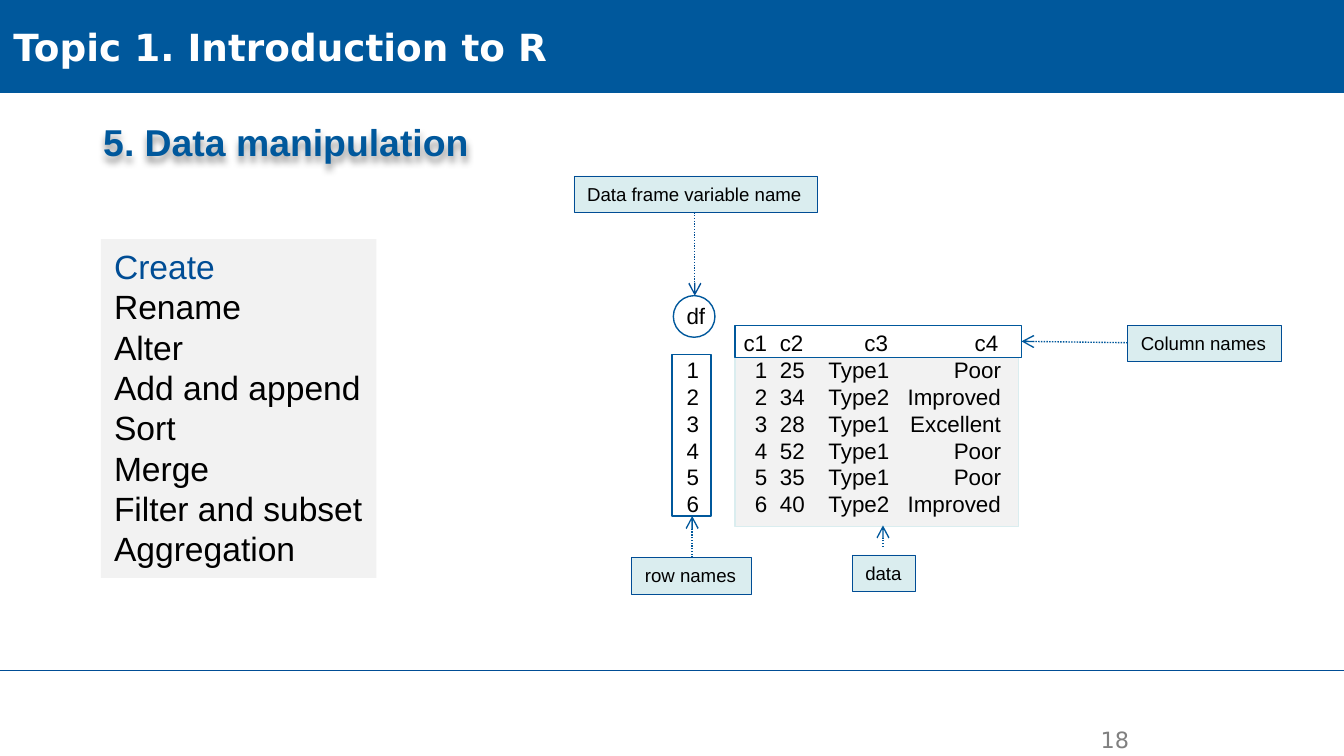
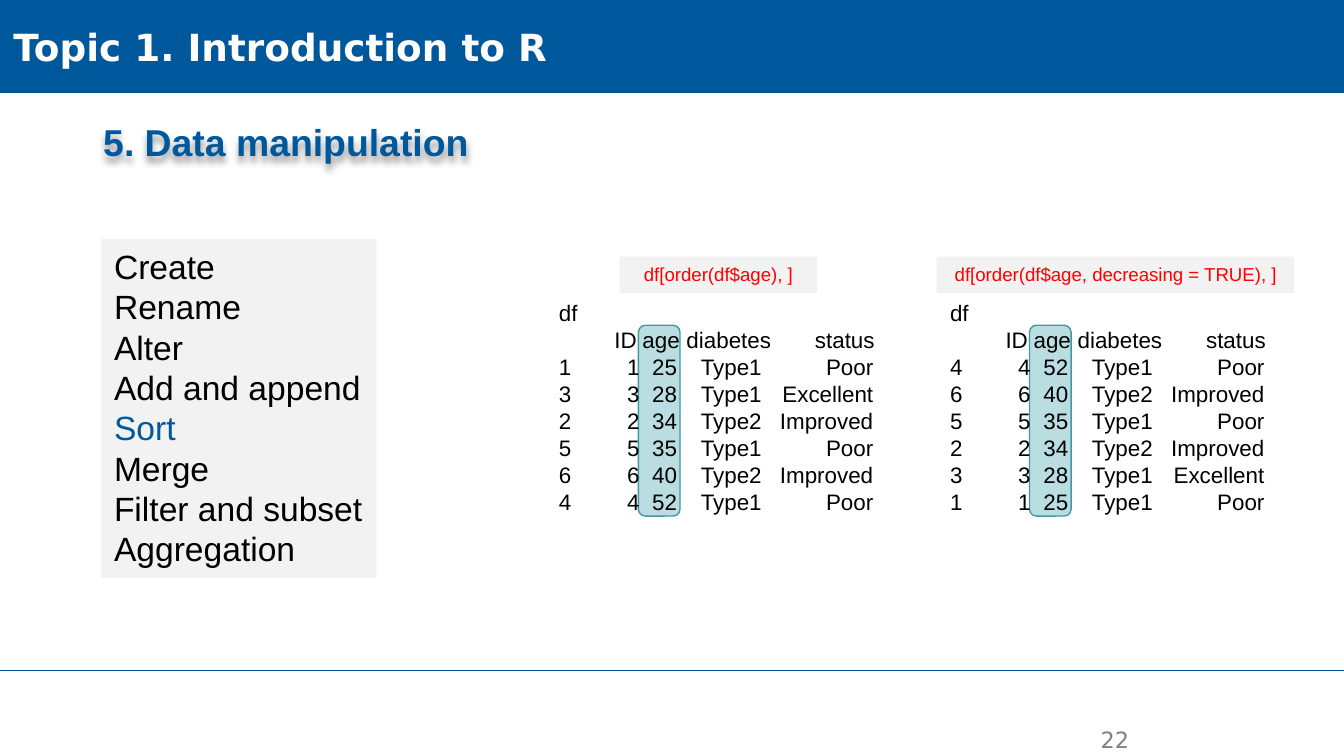
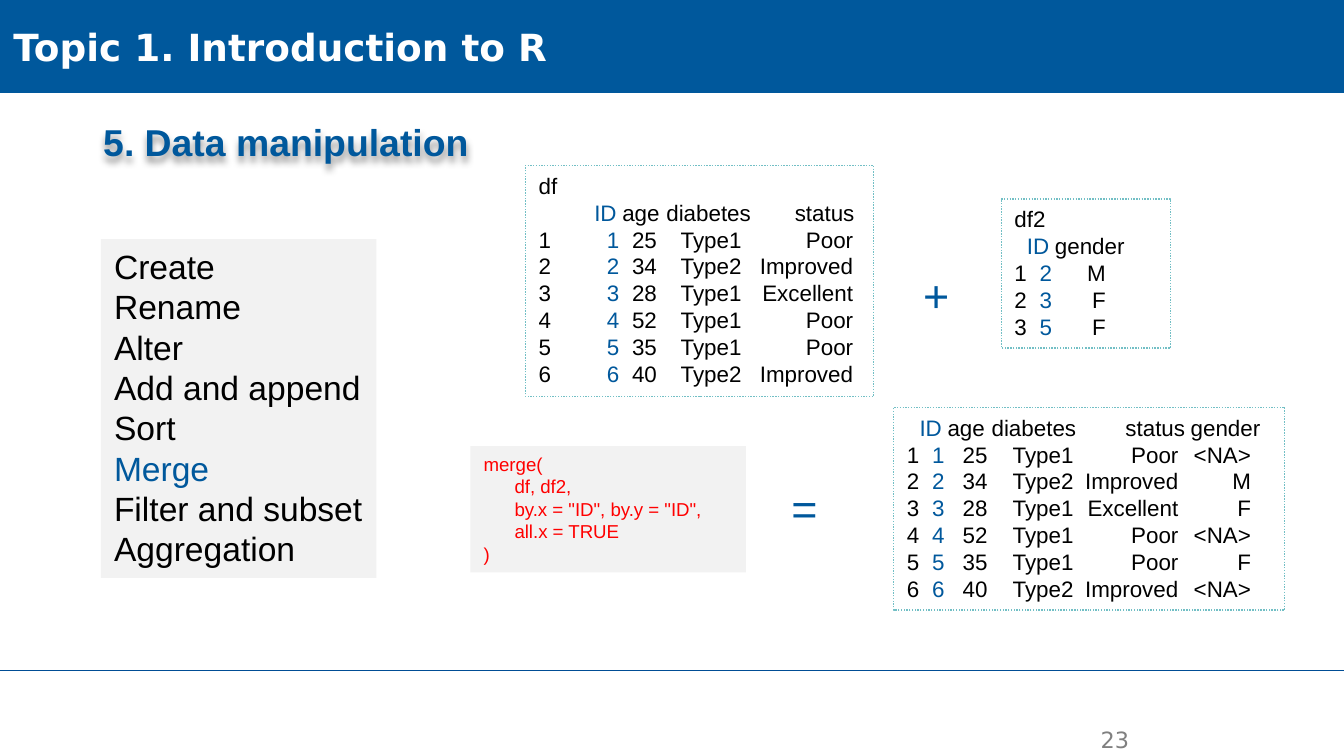
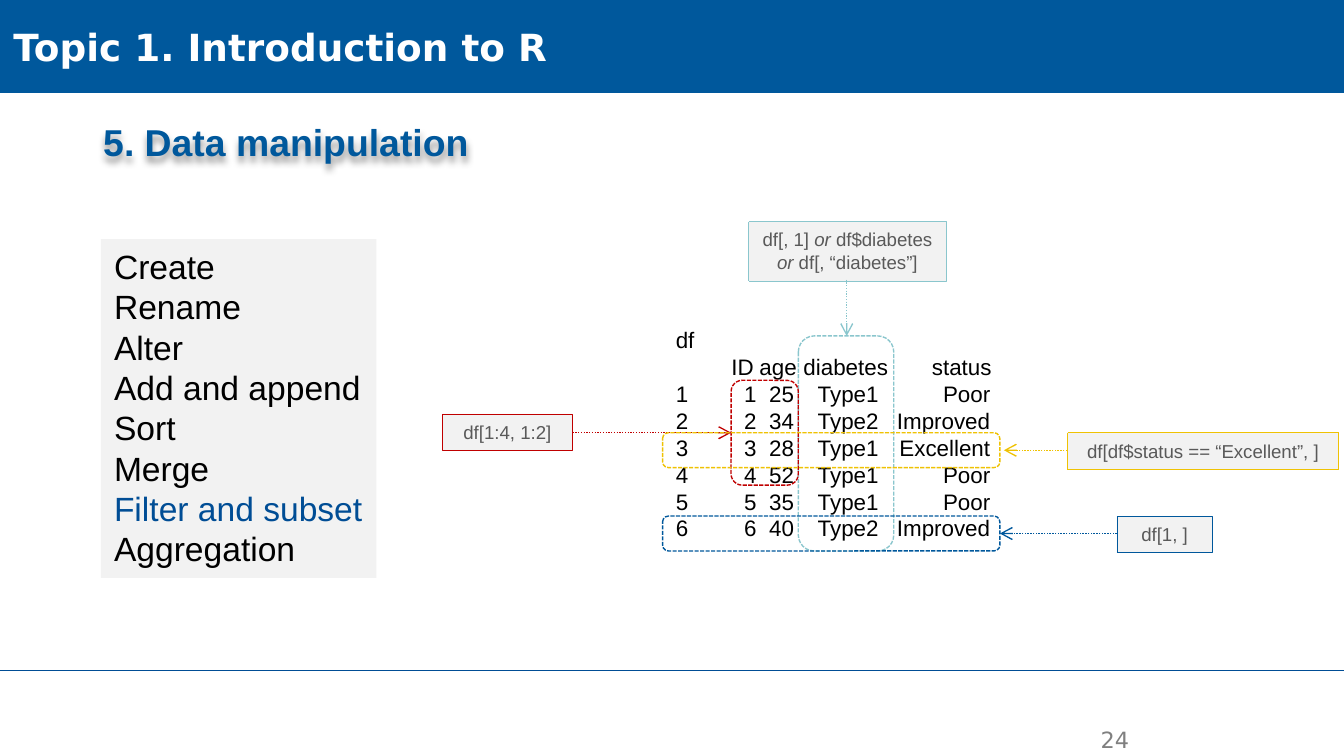
from typing import NamedTuple, Optional

from lxml.etree import SubElement as Sub
from pptx import Presentation
from pptx.dml.color import RGBColor as RGB
from pptx.enum.dml import MSO_LINE as Dash
from pptx.enum.shapes import MSO_CONNECTOR as Link, MSO_SHAPE as Form
from pptx.enum.text import MSO_ANCHOR as Anchor, MSO_AUTO_SIZE as Fit, PP_ALIGN as Align
from pptx.oxml.ns import qn
from pptx.util import Inches, Pt

# Palette and fonts
HUES = {
    "blue": "00589C", "navy": "004D95", "white": "FFFFFF", "black": "000000",
    "grey": "F2F2F2", "dim": "808080", "dark": "595959", "red": "FF0000",
    "pale": "DAEDEF", "aqua": "BADDE1", "teal": "4597A0", "mint": "72BFC5",
    "sky": "8AC6CD", "wine": "C00000", "gold": "EFC203",
}
SANS, HEAD = "Arial", "DejaVu Sans"

# Shared content
MENU = ["Create", "Rename", "Alter", "Add and append", "Sort", "Merge",
        "Filter and subset", "Aggregation"]
DATA = {
    1: ("25", "Type1", "Poor"), 2: ("34", "Type2", "Improved"),
    3: ("28", "Type1", "Excellent"), 4: ("52", "Type1", "Poor"),
    5: ("35", "Type1", "Poor"), 6: ("40", "Type2", "Improved"),
}
FIELDS = ("ID", "age", "diabetes", "status")
SEX = {2: "M", 3: "F", 5: "F"}

Rect = tuple[float, float, float, float]
Point = tuple[float, float]


class Bit(NamedTuple):
    text: str
    hue: str = "black"
    italic: bool = False


class Style(NamedTuple):
    fill: Optional[str] = None
    line: Optional[str] = None
    width: float = 0.75
    dash: Optional[Dash] = None
    form: Form = Form.RECTANGLE


class Stops(NamedTuple):
    """Right-aligned tab stops, in inches, of the head and body rows."""
    head: tuple[float, ...]
    body: tuple[float, ...]


class Pick(NamedTuple):
    """A code label with an arrow to the cells that it selects."""
    hue: str
    area: Rect
    label: Rect
    code: list[Bit]
    start: Point
    end: Point


BODY = (0.6, 0.88, 1.51, 2.34)
WIDE = Stops((0.58, 0.9, 1.58, 2.35), BODY)
EVEN = Stops((0.6, 0.87, 1.5, 2.32), BODY)
PAIR = Stops((0.26, 0.82), (0.28, 0.68))
FULL = Stops((0.26, 0.58, 1.26, 2.07, 2.63), (0.28, 0.6, 1.24, 2.02, 2.56))

PLAIN = Style(fill="grey")
NOTE = Style("pale", "navy", 0.25)
EDGE = Style(line="blue")
DOTS = Style(line="mint", dash=Dash.ROUND_DOT)
BAR = Style("aqua", "teal", form=Form.ROUNDED_RECTANGLE)


# Drawing helpers
def color(name: str) -> RGB:
    return RGB.from_string(HUES[name])


def box(slide, at: Rect, style: Style):
    shape = slide.shapes.add_shape(style.form, *map(Inches, at))
    shape.shadow.inherit = False
    paint(shape, style)
    return shape


def paint(shape, style: Style) -> None:
    if style.fill:
        shape.fill.solid()
        shape.fill.fore_color.rgb = color(style.fill)
    else:
        shape.fill.background()
    if style.line:
        stroke(shape.line, style.line, style.width, style.dash)
    else:
        shape.line.fill.background()


def stroke(line, hue: str, width: float, dash: Optional[Dash] = None) -> None:
    line.color.rgb = color(hue)
    line.width = Pt(width)
    if dash:
        line.dash_style = dash


def link(slide, start: Point, end: Point, hue: str, width: float = 0.75,
         arrow: bool = True):
    ends = map(Inches, (*start, *end))
    wire = slide.shapes.add_connector(Link.STRAIGHT, *ends)
    stroke(wire.line, hue, width, Dash.ROUND_DOT if arrow else None)
    props = wire.element.spPr
    if arrow:
        Sub(props.find(qn("a:ln")), qn("a:tailEnd"), type="arrow")
    Sub(props, qn("a:effectLst"))
    return wire


def write(shape, lines: list[list[Bit]], size: float, font: str = SANS,
          align: Align = Align.LEFT, wrap: bool = True, grow: bool = True,
          bold: bool = False) -> None:
    frame = shape.text_frame
    frame.word_wrap = wrap
    frame.auto_size = Fit.SHAPE_TO_FIT_TEXT if grow else Fit.NONE
    frame.vertical_anchor = Anchor.TOP
    for i, line in enumerate(lines):
        para = frame.add_paragraph() if i else frame.paragraphs[0]
        para.alignment = align
        for bit in line:
            run = para.add_run()
            run.text = bit.text
            face = run.font
            face.name, face.size, face.bold = font, Pt(size), bold
            face.italic = bit.italic
            face.color.rgb = color(bit.hue)


def text(slide, at: Rect, words: str, size: float, hue: str, **opts):
    area = slide.shapes.add_textbox(*map(Inches, at))
    write(area, [[Bit(words, hue)]], size, **opts)
    return area


def label(slide, at: Rect, words: str) -> None:
    write(box(slide, at, NOTE), [[Bit(words)]], 10, wrap=False)


def code(slide, at: Rect, words: str) -> None:
    write(box(slide, at, PLAIN), [[Bit(words, "red")]], 10, align=Align.CENTER)


def records(order) -> list[tuple[str, ...]]:
    return [(str(i), str(i), *DATA[i]) for i in order]


def split(cells: tuple[str, ...], key: Optional[str]) -> list[Bit]:
    if not key:
        return [Bit("\t".join(cells))]
    first, mark, *rest = cells
    return [Bit(first + "\t"), Bit(mark, key), Bit("\t" + "\t".join(rest))]


def grid(slide, at: Rect, name: str, head: tuple[str, ...],
         rows: list[tuple[str, ...]], stops: Stops, key: Optional[str] = None,
         style: Optional[Style] = None) -> None:
    """A printed data frame whose columns sit on tab stops."""
    lines = [split(row, key) for row in [("", *head), *rows]]
    top = [[Bit(name)]] if name else []
    if style:
        area = box(slide, at, style)
    else:
        area = slide.shapes.add_textbox(*map(Inches, at))
    write(area, top + lines, 12)
    for i, para in enumerate(area.text_frame.paragraphs[len(top):]):
        tabs = Sub(para._p.get_or_add_pPr(), qn("a:tabLst"))
        for pos in stops.body if i else stops.head:
            Sub(tabs, qn("a:tab"), pos=str(Inches(pos)), algn="r")


# Parts that every slide shares
def base(deck, page: int, topic: str, hue: str = "blue"):
    layout = deck.slide_layouts[5]
    slide = deck.slides.add_slide(layout)
    if len(deck.slides) == 1:
        rule = link(slide, (0, 4.99), (10, 4.99), "navy", 0.5, arrow=False)
        layout.shapes.element.append(rule.element)
    title = slide.shapes.title
    title.left, title.top, title.width, title.height = map(
        Inches, (0, 0, 10, 0.69))
    paint(title, Style("blue", "blue"))
    write(title, [[Bit("Topic 1. Introduction to R", "white")]], 20, HEAD,
          grow=False, bold=True)
    title.text_frame.vertical_anchor = Anchor.MIDDLE
    text(slide, (7.58, 5.35, 0.92, 0.28), str(page), 12, "dim", font=HEAD,
         align=Align.RIGHT, grow=False)
    section = text(slide, (0.67, 0.84, 2.94, 0.44), "5. Data manipulation",
                   20, "blue", wrap=False, bold=True)
    cast(section)
    menu = [[Bit(item, hue if item == topic else "black")] for item in MENU]
    write(box(slide, (0.75, 1.78, 2.05, 2.52), PLAIN), menu, 18)
    return slide


def cast(shape) -> None:
    """Give the text a soft shadow below it."""
    glow = Sub(Sub(shape.element.spPr, qn("a:effectLst")), qn("a:outerShdw"),
               blurRad="50800", dist="38100", dir="5400000", algn="t",
               rotWithShape="0")
    tone = Sub(glow, qn("a:srgbClr"), val=HUES["black"])
    Sub(tone, qn("a:alpha"), val="40000")


# Slides
def create(deck) -> None:
    slide = base(deck, 18, "Create", "navy")
    box(slide, (5.47, 2.66, 2.11, 1.26), Style("grey", "pale"))
    grid(slide, (5.01, 2.2, 2.59, 1.72), "df", ("c1", "c2", "c3", "c4"),
         records(DATA), EVEN)
    box(slide, (5.01, 2.2, 0.31, 0.31), EDGE._replace(form=Form.OVAL))
    for area in [(5.47, 2.42, 2.13, 0.24), (5, 2.64, 0.29, 1.2)]:
        box(slide, area, EDGE)
    for at, words, start, end, hue in [
        ((4.27, 1.31, 1.81, 0.27), "Data frame variable name",
         (5.17, 1.58), (5.17, 2.2), "navy"),
        ((8.39, 2.42, 1.14, 0.27), "Column names",
         (8.39, 2.55), (7.6, 2.54), "blue"),
        ((4.7, 4.15, 0.89, 0.27), "row names",
         (5.15, 4.17), (5.15, 3.84), "blue"),
        ((6.34, 4.13, 0.47, 0.27), "data",
         (6.57, 4.07), (6.57, 3.91), "blue"),
    ]:
        link(slide, start, end, hue)
        label(slide, at, words)


def sort(deck) -> None:
    slide = base(deck, 22, "Sort")
    for left, order, call, start, width in [
        (4.06, (1, 3, 2, 5, 6, 4), "df[order(df$age), ]", 4.61, 1.47),
        (6.97, (4, 6, 5, 2, 3, 1), "df[order(df$age, decreasing = TRUE), ]",
         6.97, 2.66),
    ]:
        box(slide, (left + 0.69, 2.42, 0.31, 1.42), BAR)
        grid(slide, (left, 2.18, 2.59, 1.72), "df", FIELDS, records(order), WIDE)
        code(slide, (start, 1.91, width, 0.27), call)


def merge(deck) -> None:
    slide = base(deck, 23, "Merge")
    genders = [(str(n), str(i), sex) for n, (i, sex) in enumerate(SEX.items(), 1)]
    joined = [(*row, SEX.get(i, "<NA>")) for i, row in zip(DATA, records(DATA))]
    for at, name, head, rows, stops in [
        ((3.91, 1.23, 2.59, 1.72), "df", FIELDS, records(DATA), WIDE),
        ((7.45, 1.48, 1.26, 1.11), "df2", ("ID", "gender"), genders, PAIR),
        ((6.65, 3.03, 2.91, 1.51), "", (*FIELDS, "gender"), joined, FULL),
    ]:
        grid(slide, at, name, head, rows, stops, "blue", DOTS)
    for sign, left, top in [("+", 6.77, 1.94), ("=", 5.79, 3.53)]:
        text(slide, (left, top, 0.55, 0.5), sign, 24, "blue")
    call = ["merge(", "df, df2,", 'by.x = "ID", by.y = "ID",', "all.x = TRUE", ")"]
    area = box(slide, (3.5, 3.32, 2.05, 0.94), PLAIN)
    write(area, [[Bit(line, "red")] for line in call], 10)
    for para in area.text_frame.paragraphs[1:-1]:
        para._p.get_or_add_pPr().set("marL", str(Inches(0.23)))


def subset(deck) -> None:
    slide = base(deck, 24, "Filter and subset", "navy")
    grid(slide, (4.93, 2.38, 2.59, 1.72), "df", FIELDS, records(DATA), WIDE)
    column = [Bit("df[, 1] ", "dark"), Bit("or ", "dark", True),
              Bit("df$diabetes ", "dark"), Bit("or", "dark", True),
              Bit(" df[, “diabetes”]", "dark")]
    for pick in [
        Pick("sky", (5.94, 2.5, 0.71, 1.6), (5.57, 1.65, 1.47, 0.44),
             column, (6.3, 2.08), (6.3, 2.5)),
        Pick("blue", (4.93, 3.84, 2.51, 0.26), (8.31, 3.84, 0.71, 0.27),
             [Bit("df[1, ]", "dark")], (8.31, 3.97), (7.44, 3.97)),
        Pick("wine", (5.44, 2.83, 0.5, 0.78), (3.29, 3.08, 0.97, 0.27),
             [Bit("df[1:4, 1:2]", "dark")], (4.26, 3.22), (5.44, 3.22)),
        Pick("gold", (4.93, 3.22, 2.51, 0.26), (7.94, 3.22, 2.02, 0.27),
             [Bit("df[df$status == “Excellent”, ]", "dark")],
             (7.94, 3.35), (7.47, 3.35)),
    ]:
        box(slide, pick.area, Style(line=pick.hue, dash=Dash.SQUARE_DOT,
                                    form=Form.ROUNDED_RECTANGLE))
        tag = box(slide, pick.label, Style("grey", pick.hue, 0.25, Dash.ROUND_DOT))
        write(tag, [pick.code], 10, align=Align.CENTER)
        link(slide, pick.start, pick.end, pick.hue)


def main() -> None:
    deck = Presentation()
    deck.slide_width = Inches(10)
    deck.slide_height = Inches(10 * 9 / 16)
    for build in (create, sort, merge, subset):
        build(deck)
    deck.save("out.pptx")


if __name__ == "__main__":
    main()
